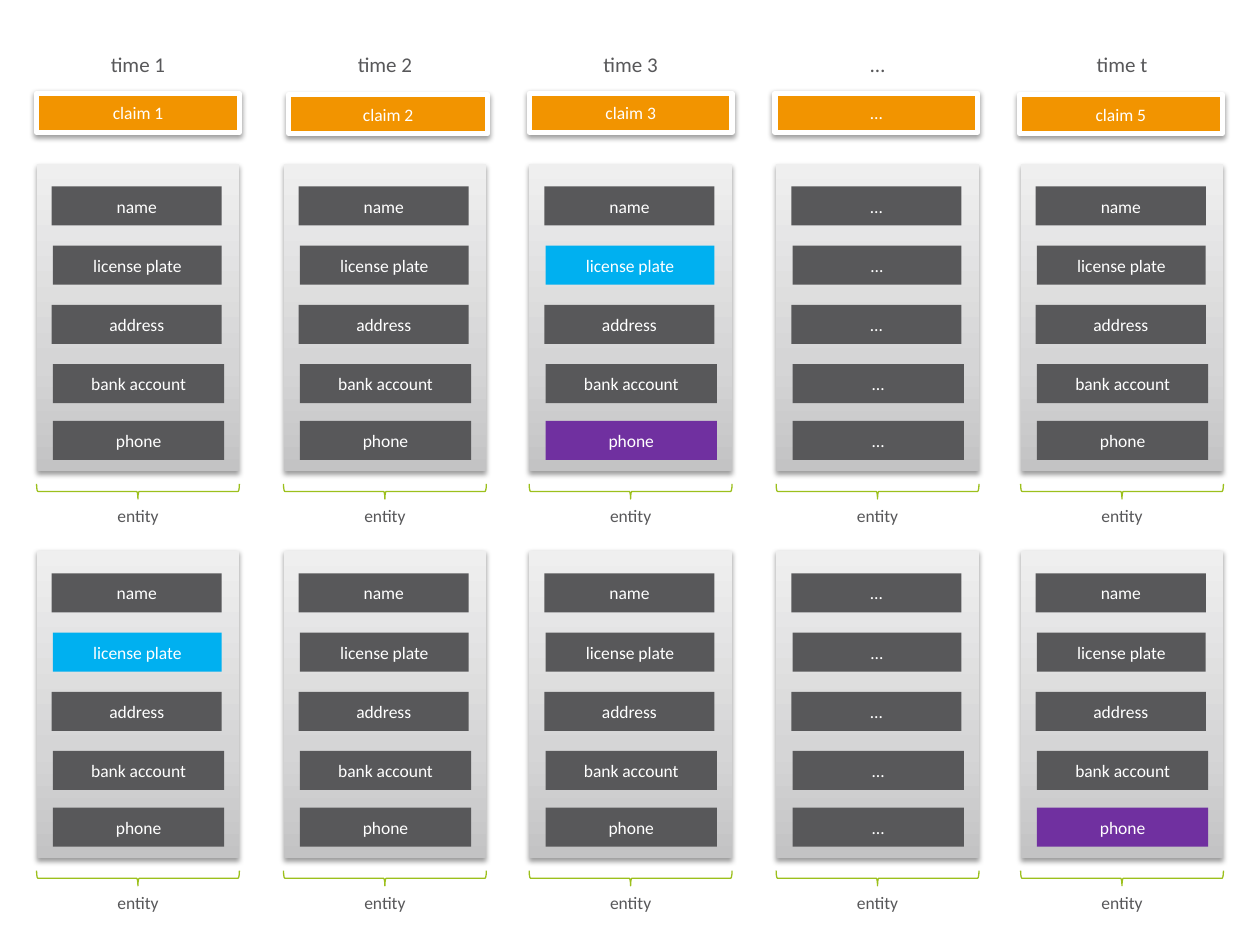
from dataclasses import dataclass

from lxml import etree
from pptx import Presentation
from pptx.dml.color import RGBColor
from pptx.enum import shapes, text
from pptx.oxml import ns
from pptx.util import Inches, Pt


@dataclass(frozen=True)
class Theme:
    font: str = "Calibri"
    head: int = 12
    body: int = 10
    ink: str = "58585A"
    white: str = "FFFFFF"
    claim: str = "F29400"
    plate: str = "00B0F0"
    phone: str = "7030A0"
    brace: str = "9CC01C"
    panel: tuple = ((0, "C3C3C4"), (35, "D5D5D6"), (100, "EFEFEF"))


T = Theme()
KIND = shapes.MSO_SHAPE

WIDE = 1.61                                # column width
LEFTS = (0.29, 2.25, 4.2, 6.16, 8.1)       # column left edges
TOPS = (1.3, 4.37)                         # entity row top edges
TALL = 2.44                                # entity panel height
BAR = 0.31                                 # height of every bar

# Column heading, claim, then left, top and width of the claim bar
HEADS = (
    ("time 1", "claim 1", 0.29, 0.74, WIDE),
    ("time 2", "claim 2", 2.29, 0.75, 1.58),
    ("time 3", "claim 3", 4.2, 0.74, WIDE),
    ("…", "…", 6.15, 0.74, WIDE),
    ("time t", "claim 5", 8.09, 0.75, WIDE),
)

# Field, then left, top and width within the panel
FIELDS = (
    ("name", 0.12, 0.18, 1.35),
    ("license plate", 0.13, 0.65, 1.34),
    ("address", 0.12, 1.12, 1.35),
    ("bank account", 0.13, 1.59, 1.36),
    ("phone", 0.13, 2.04, 1.36),
)

# Shared values, keyed by entity row and column
MARKS = {
    (0, 2): {"license plate": T.plate, "phone": T.phone},
    (1, 0): {"license plate": T.plate},
    (1, 4): {"phone": T.phone},
}


def rgb(code):
    return RGBColor.from_string(code)


def write(frame, words, size, color):
    frame.word_wrap = True
    para = frame.paragraphs[0]
    para.text = words
    para.alignment = text.PP_ALIGN.CENTER
    para.font.name = T.font
    para.font.size = Pt(size)
    para.font.color.rgb = rgb(color)


def label(slide, words, box, size):
    item = slide.shapes.add_textbox(*map(Inches, box))
    write(item.text_frame, words, size, T.ink)
    item.text_frame.auto_size = text.MSO_AUTO_SIZE.SHAPE_TO_FIT_TEXT


def plain(slide, kind, box):
    item = slide.shapes.add_shape(kind, *map(Inches, box))
    item.shadow.inherit = False
    item.line.fill.background()
    return item


def bar(slide, words, box, fill):
    item = plain(slide, KIND.RECTANGLE, box)
    item.fill.solid()
    item.fill.fore_color.rgb = rgb(fill)
    write(item.text_frame, words, T.body, T.white)
    item.text_frame.vertical_anchor = text.MSO_ANCHOR.MIDDLE
    return item


def node(parent, tag, **attrs):
    return etree.SubElement(parent, ns.qn(tag), attrs)


def shade(item):
    """Add a soft shadow below the shape."""
    effects = item._element.spPr.find(ns.qn("a:effectLst"))
    drop = node(effects, "a:outerShdw", blurRad=str(Pt(3.1)),
                dist=str(Pt(1.6)), dir="5400000", rotWithShape="0")
    color = node(drop, "a:srgbClr", val="000000")
    node(color, "a:alpha", val="38000")


def blend(item):
    """Fill the shape with the panel gradient, dark at the bottom."""
    item.fill.gradient()
    item.fill.gradient_angle = 90
    stops = item._element.spPr.find(".//" + ns.qn("a:gsLst"))
    stops.clear()
    for place, color in T.panel:
        stop = node(stops, "a:gs", pos=str(place * 1000))
        node(stop, "a:srgbClr", val=color)


def header(slide, left, head):
    title, claim, x, y, wide = head
    label(slide, title, (left, 0.36, WIDE, 0.3), T.head)
    item = bar(slide, claim, (x, y, wide, BAR), T.claim)
    item.line.color.rgb = rgb(T.white)
    item.line.width = Pt(3)
    shade(item)


def entity(slide, left, top, blank, marks):
    # Panel
    panel = plain(slide, KIND.RECTANGLE, (left, top, WIDE, TALL))
    blend(panel)
    shade(panel)

    # Fields
    for name, x, y, wide in FIELDS:
        bar(slide, "…" if blank else name, (left + x, top + y, wide, BAR),
            marks.get(name, T.ink))

    # Brace turned to lie under the panel, and its caption
    deep = 0.12
    mid_x, mid_y = left + WIDE / 2, top + TALL + 0.16
    brace = plain(slide, KIND.LEFT_BRACE,
                  (mid_x - deep / 2, mid_y - WIDE / 2, deep, WIDE))
    brace.rotation = 270
    brace.fill.background()
    brace.line.color.rgb = rgb(T.brace)
    brace.line.width = Pt(0.75)
    label(slide, "entity", (left, top + 2.66, WIDE, 0.27), T.body)


def main():
    deck = Presentation()
    deck.slide_width, deck.slide_height = Inches(10), Inches(7.5)
    slide = deck.slides.add_slide(deck.slide_layouts[6])
    for col, (left, head) in enumerate(zip(LEFTS, HEADS)):
        header(slide, left, head)
        for row, top in enumerate(TOPS):
            entity(slide, left, top, head[0] == "…", MARKS.get((row, col), {}))
    deck.save("out.pptx")


if __name__ == "__main__":
    main()
